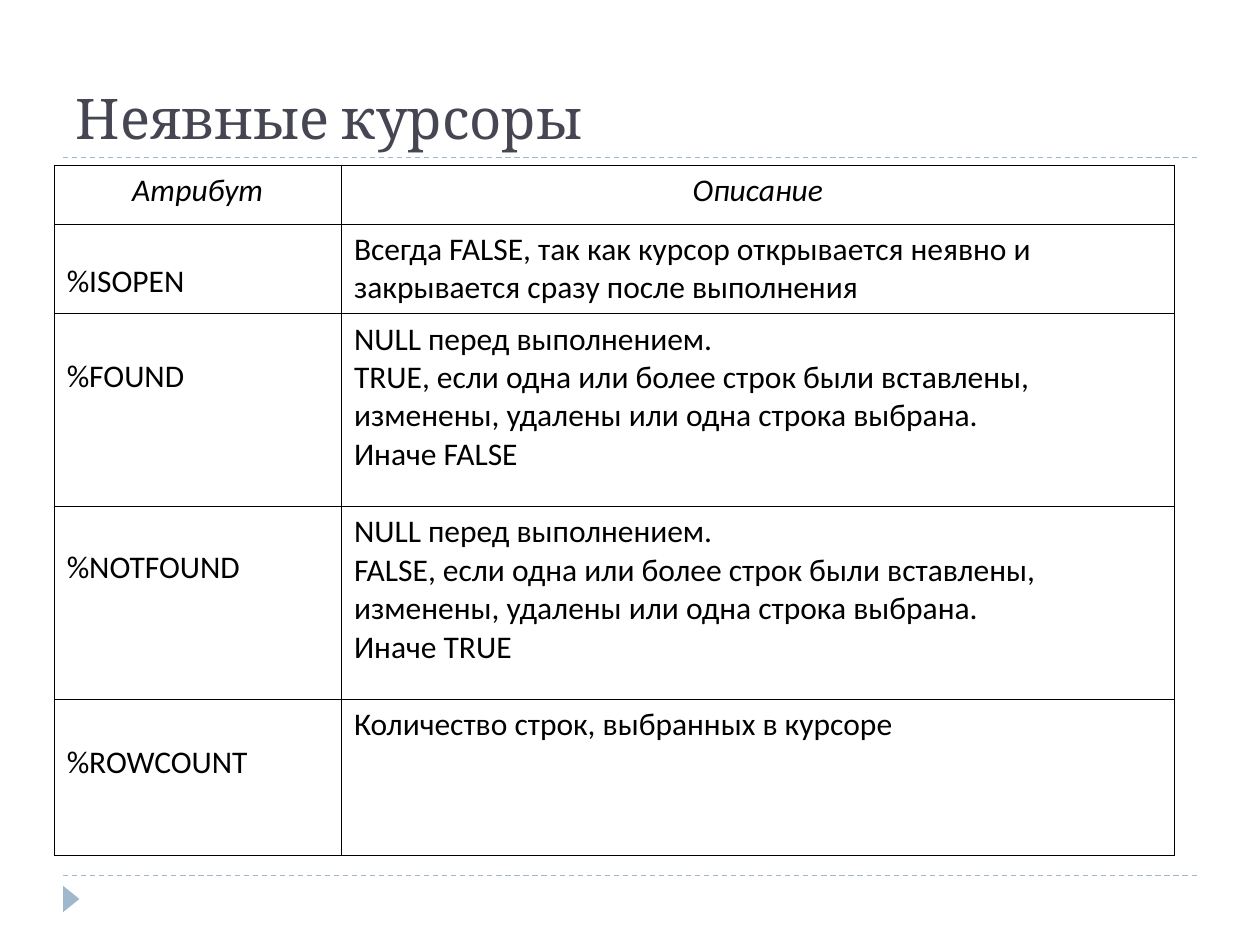
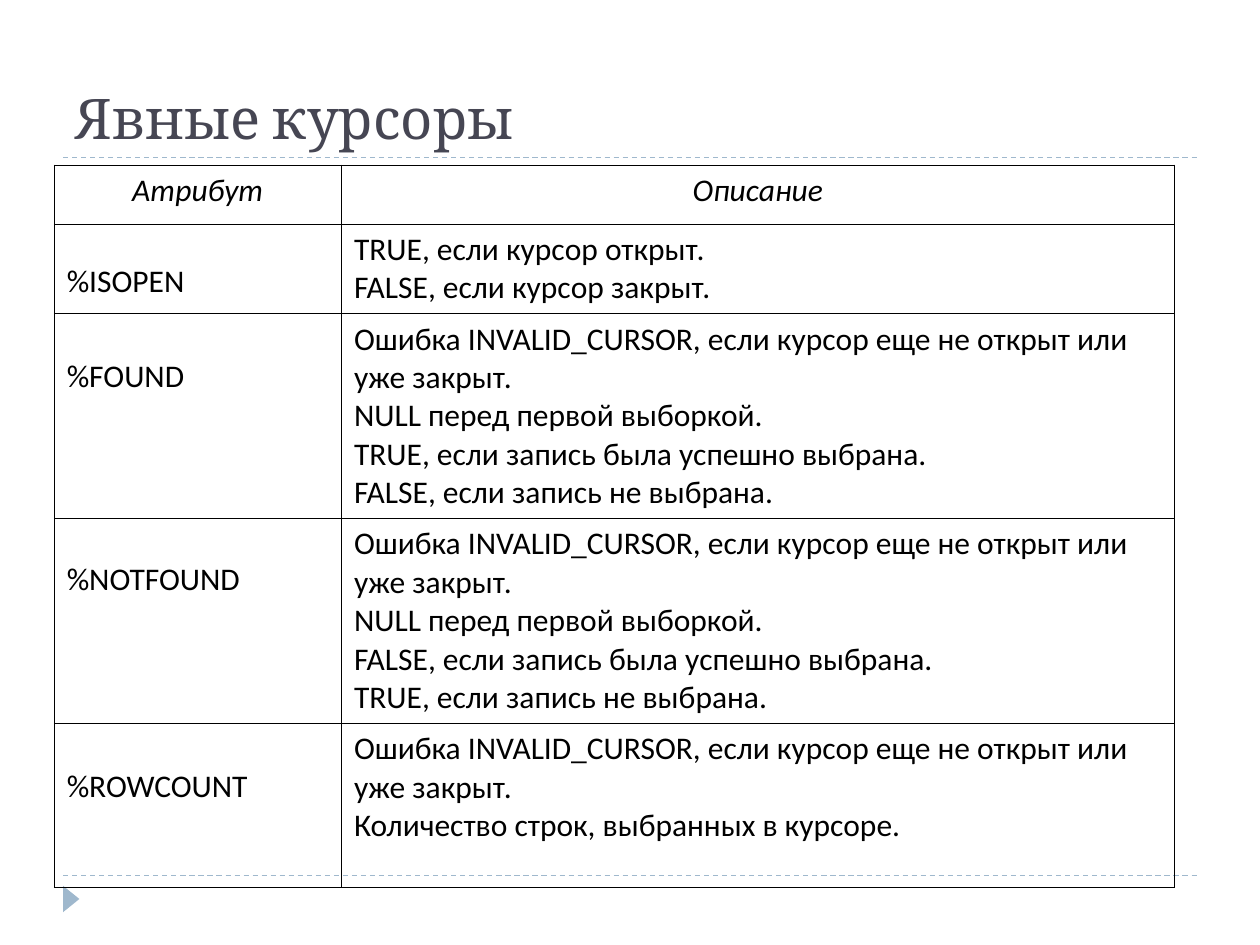
"""Build two slides with tables of implicit and explicit cursor attributes."""
import dataclasses

import pptx
import pptx.dml.color
import pptx.enum.dml
import pptx.enum.shapes
import pptx.enum.text
import pptx.oxml
import pptx.oxml.ns
import pptx.util

Inches, Pt = pptx.util.Inches, pptx.util.Pt
RGB = pptx.dml.color.RGBColor.from_string
ALIGN = pptx.enum.text.PP_ALIGN


@dataclasses.dataclass(frozen=True)
class Theme:
    accent: str = "9FB8CD"
    title_color: str = "464653"
    text_color: str = "000000"
    title_font: str = "Cambria"
    body_font: str = "Calibri"
    title_size: float = 32
    body_size: float = 18
    rule_width: float = 0.75
    border_width: float = 0.45


THEME = Theme()


def add_run(p, text, font, size, color, italic=False):
    r = p.add_run()
    r.text = text
    r.font.name = font
    r.font.size = Pt(size)
    r.font.color.rgb = RGB(color)
    r.font.bold = False
    r.font.italic = italic


def set_borders(cell):
    tc_pr = cell._tc.get_or_add_tcPr()
    for side in "LRTB":
        tc_pr.append(pptx.oxml.parse_xml(
            f'<a:ln{side} {pptx.oxml.ns.nsdecls("a")} w="{Pt(THEME.border_width)}">'
            f'<a:solidFill><a:srgbClr val="{THEME.text_color}"/></a:solidFill></a:ln{side}>'))
    cell.fill.background()


ATTRIBUTES = [("%ISOPEN", 0.3), ("%FOUND", 0.35), ("%NOTFOUND", 0.33), ("%ROWCOUNT", 0.35)]
COLUMN_WIDTHS = [2.28, 6.61]
INVALID = "Ошибка INVALID_CURSOR, если курсор еще не открыт или уже закрыт."
BEFORE_RUN = "NULL перед выполнением."
BEFORE_FETCH = "NULL перед первой выборкой."
CHANGED = "если одна или более строк были вставлены, изменены, удалены или одна строка выбрана."
FETCHED = "если запись была успешно выбрана."
NOT_FETCHED = "если запись не выбрана."

SLIDES = [
    ("Неявные курсоры", [0.47, 0.7, 1.53, 1.53, 1.24], [
        ["Всегда FALSE, так как курсор открывается неявно и закрывается сразу после выполнения"],
        [BEFORE_RUN, f"TRUE, {CHANGED}", "Иначе FALSE"],
        [BEFORE_RUN, f"FALSE, {CHANGED}", "Иначе TRUE"],
        ["Количество строк, выбранных в курсоре"],
    ]),
    ("Явные курсоры", [0.47, 0.7, 1.6, 1.6, 1.3], [
        ["TRUE, если курсор открыт.", "FALSE, если курсор закрыт."],
        [INVALID, BEFORE_FETCH, f"TRUE, {FETCHED}", f"FALSE, {NOT_FETCHED}"],
        [INVALID, BEFORE_FETCH, f"FALSE, {FETCHED}", f"TRUE, {NOT_FETCHED}"],
        [INVALID, "Количество строк, выбранных в курсоре."],
    ]),
]

prs = pptx.Presentation()
prs.slide_width, prs.slide_height = Inches(10), Inches(7.5)

for title, row_heights, descriptions in SLIDES:
    s = prs.slides.add_slide(prs.slide_layouts[5])

    for y in (6.95, 1.25):
        rule = s.shapes.add_connector(pptx.enum.shapes.MSO_CONNECTOR.STRAIGHT,
                                      Inches(0.5), Inches(y), Inches(9.5), Inches(y))
        rule.line.color.rgb = RGB(THEME.accent)
        rule.line.width = Pt(THEME.rule_width)
        rule.line.dash_style = pptx.enum.dml.MSO_LINE.DASH
        rule._element.spPr.append(pptx.oxml.parse_xml(
            f'<a:effectLst {pptx.oxml.ns.nsdecls("a")}/>'))

    marker = s.shapes.add_shape(pptx.enum.shapes.MSO_SHAPE.ISOSCELES_TRIANGLE,
                                Inches(0.46), Inches(7.07), Inches(0.21), Inches(0.13))
    marker.rotation = 90
    marker.shadow.inherit = False
    marker.fill.solid()
    marker.fill.fore_color.rgb = RGB(THEME.accent)
    marker.line.fill.background()

    sp = s.shapes.title
    sp.left, sp.top, sp.width, sp.height = Inches(0.5), Inches(0.17), Inches(9), Inches(1.08)
    tf = sp.text_frame
    tf.vertical_anchor = pptx.enum.text.MSO_ANCHOR.BOTTOM
    p = tf.paragraphs[0]
    p.alignment = ALIGN.LEFT
    add_run(p, title, THEME.title_font, THEME.title_size, THEME.title_color)

    table = s.shapes.add_table(len(row_heights), len(COLUMN_WIDTHS), Inches(0.43), Inches(1.31),
                               Inches(sum(COLUMN_WIDTHS)), Inches(sum(row_heights))).table
    table.first_row = table.horz_banding = False
    for column, width in zip(table.columns, COLUMN_WIDTHS):
        column.width = Inches(width)
    for row, height in zip(table.rows, row_heights):
        row.height = Inches(height)

    rows = [(["Атрибут"], ["Описание"], 0.05)]
    rows += [([name], lines, top) for (name, top), lines in zip(ATTRIBUTES, descriptions)]
    for i, (names, lines, top) in enumerate(rows):
        header = i == 0
        table.cell(i, 0).margin_top = Inches(top)
        for j, texts in enumerate((names, lines)):
            cell = table.cell(i, j)
            set_borders(cell)
            tf = cell.text_frame
            for k, text in enumerate(texts):
                p = tf.add_paragraph() if k else tf.paragraphs[0]
                p.alignment = ALIGN.CENTER if header else ALIGN.LEFT
                add_run(p, text, THEME.body_font, THEME.body_size, THEME.text_color, header)

prs.save("out.pptx")
